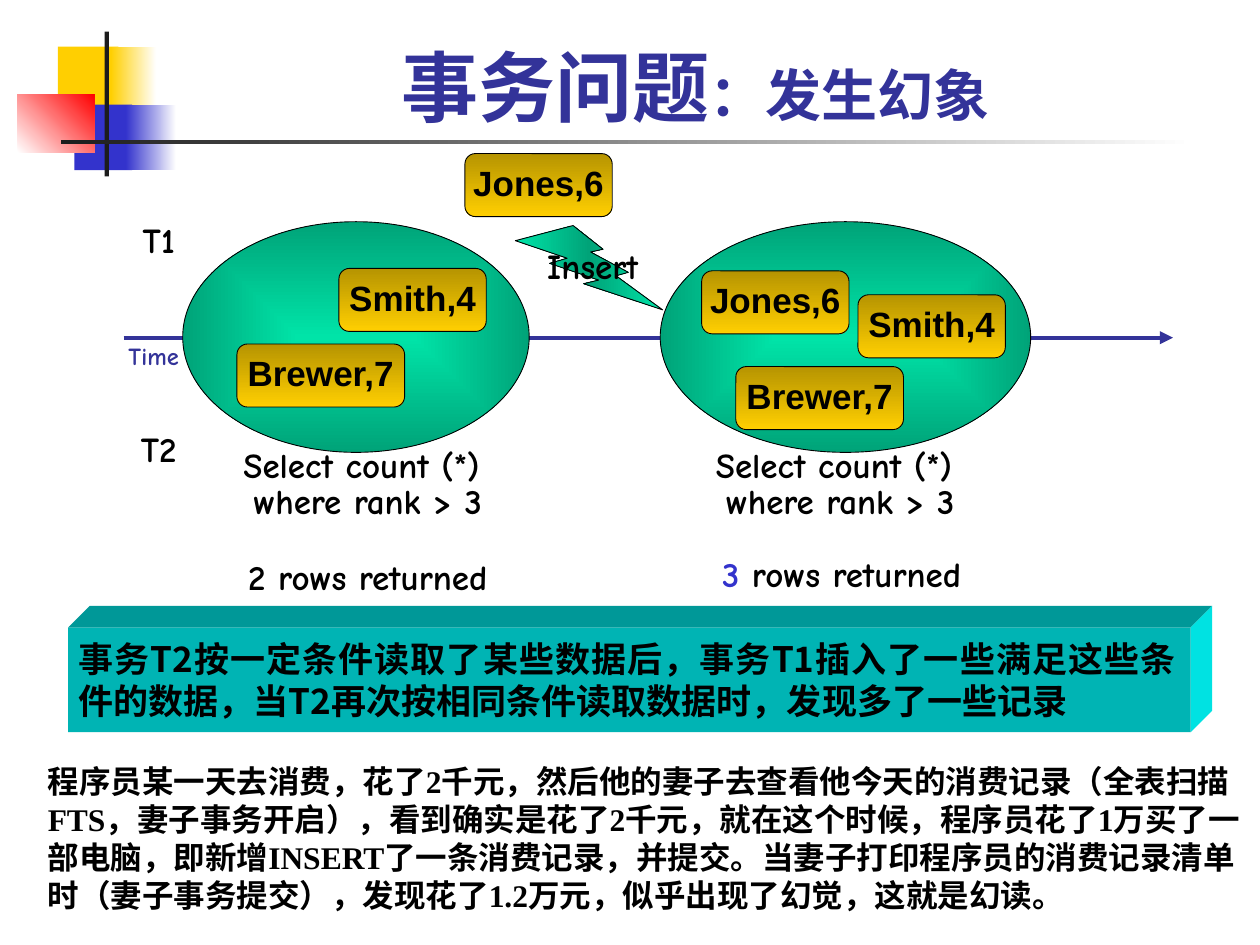
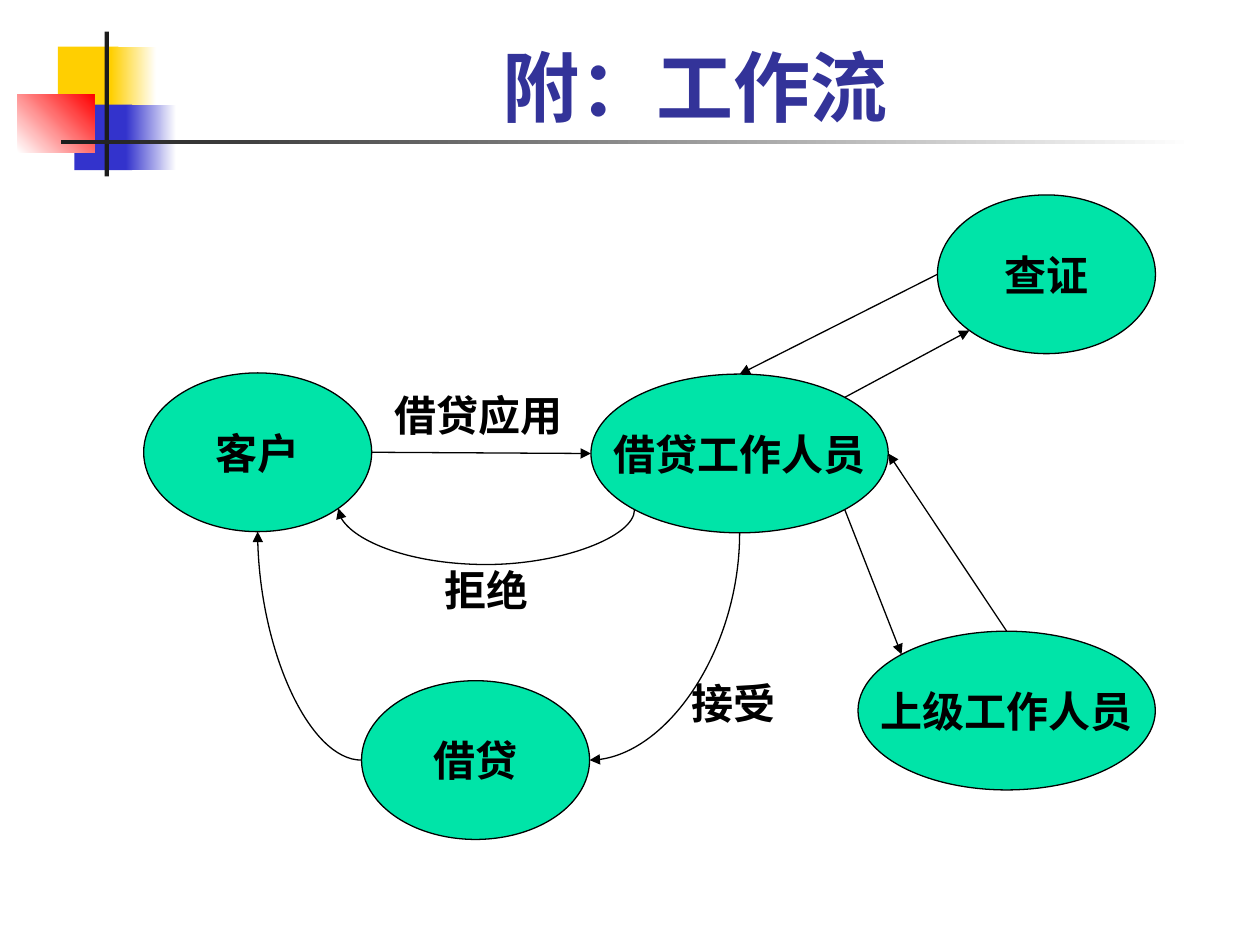
"""Build two slides on transactions: phantom reads and a loan workflow."""
from math import cos, pi, sin

from lxml import etree
from pptx import Presentation
from pptx.dml.color import RGBColor
from pptx.enum.shapes import MSO_CONNECTOR, MSO_SHAPE
from pptx.enum.text import MSO_ANCHOR, PP_ALIGN
from pptx.oxml.ns import qn
from pptx.util import Pt

RECT, OVAL = MSO_SHAPE.RECTANGLE, MSO_SHAPE.OVAL
ROUND, BOLT = MSO_SHAPE.ROUNDED_RECTANGLE, MSO_SHAPE.LIGHTNING_BOLT
LINE, CURVE = MSO_CONNECTOR.STRAIGHT, MSO_CONNECTOR.CURVE
LEFT, MID, FULL = PP_ALIGN.LEFT, PP_ALIGN.CENTER, PP_ALIGN.JUSTIFY
TOP, CENTER, BOTTOM = MSO_ANCHOR.TOP, MSO_ANCHOR.MIDDLE, MSO_ANCHOR.BOTTOM

BLACK = RGBColor(0, 0, 0)
WHITE = RGBColor(255, 255, 255)
INK = RGBColor(0x1C, 0x1C, 0x1C)
NAVY = RGBColor(0x33, 0x33, 0x99)
BLUE = RGBColor(0x33, 0x33, 0xCC)
RED = RGBColor(255, 0, 0)
GOLD = RGBColor(0xFF, 0xCF, 0x01)
BRONZE = RGBColor(0xB6, 0x94, 0x01)
MINT = RGBColor(0x00, 0xE4, 0xA8)
GREEN = RGBColor(0x00, 0xA3, 0x78)
TEAL = RGBColor(0x00, 0xB4, 0xB4)
DEEP = RGBColor(0x00, 0x98, 0x98)
AQUA = RGBColor(0x00, 0xE2, 0xE2)

HEAD, HAND, SANS = "Roboto", "Comic Neue", "Arial"
SERIF, HAN = "Times New Roman", "Noto Sans CJK JP"

DECOR = [
    ((33.1, 26.6, 34.6, 37.4), GOLD),
    ((63.4, 26.6, 25.9, 37.4), ([GOLD, WHITE], 0)),
    ((42.5, 59.8, 33.1, 37.4), BLUE),
    ((72, 59.8, 28.8, 37.4), ([BLUE, WHITE], 0)),
    ((10.1, 54, 43.9, 33.1), ([WHITE, RED], 315)),
    ((59.8, 18, 2.5, 82.8), INK),
    ((34.6, 79.9, 648, 2.5), ([INK, WHITE], 0)),
]
TITLE = (90.7, 12.2, 613.4, 67)

QUERY = [[("Select count (*) ",)], [("where rank > 3",)]]
NOTES = [
    ((70.6, 243.4, 40.3, 28.8), [[("T2",)]], 0.9),
    ((72, 123.8, 37.4, 28.8), [[("T1",)]], 0.9),
    ((64.8, 193, 46.1, 22.3), [[("Time", 14, NAVY)]], 0.9),
    ((125.3, 254.9, 169.9, 88.6), QUERY + [[("2 rows returned",)]], 0.85),
    ((395.3, 253.4, 169.9, 48.2), QUERY, 0.85),
    ((398.2, 316.1, 165.6, 27.4),
     [[("3", 20, BLUE), (" rows returned",)]], 0.85),
]
SETS = [(377.3, 126.7, 211.7, 131.8), (104.4, 126.7, 198, 131.8)]
CARDS = [
    ("Jones,6", 265.7, 87.8), ("Smith,4", 490.3, 168.5),
    ("Brewer,7", 420.5, 209.5), ("Jones,6", 401, 154.8),
    ("Smith,4", 193.7, 153.4), ("Brewer,7", 135.4, 196.6),
]
WIDE = {"Jones,6": 84.2, "Smith,4": 84.2, "Brewer,7": 95.8}
BANNER, DEPTH = (38.9, 358.6, 641.5, 59.8), 12.3
RULE = ("事务T2按一定条件读取了某些数据后，事务T1插入了一些满足这些条件的数据，"
        "当T2再次按相同条件读取数据时，发现多了一些记录")
STORY = ("程序员某一天去消费，花了2千元，然后他的妻子去查看他今天的消费记录"
         "（全表扫描FTS，妻子事务开启），看到确实是花了2千元，就在这个时候，"
         "程序员花了1万买了一部电脑，即新增INSERT了一条消费记录，并提交。"
         "当妻子打印程序员的消费记录清单时（妻子事务提交），发现花了1.2万元，"
         "似乎出现了幻觉，这就是幻读。")

STAFF, BOSS, CHECK, LOAN, CLIENT = "借贷工作人员", "上级工作人员", "查证", "借贷", "客户"
NODES = {
    STAFF: (337.7, 213.8, 169.9, 90.7),
    BOSS: (490.3, 360.7, 169.9, 90.7),
    CHECK: (535.7, 111.4, 124.6, 90.7),
    LOAN: (206.6, 389, 130.3, 90.7),
    CLIENT: (82.1, 213.1, 130.3, 90.7),
}
LINKS = [
    (CLIENT, 6, STAFF, 2), (STAFF, 7, CHECK, 3), (CHECK, 2, STAFF, 0),
    (STAFF, 5, BOSS, 1), (BOSS, 0, STAFF, 6),
]
BENDS = [
    (STAFF, 3, CLIENT, 5, 270, True, "curvedConnector3"),
    (STAFF, 4, LOAN, 6, 90, False, "curvedConnector2"),
    (LOAN, 2, CLIENT, 4, 180, False, "curvedConnector2"),
]
SAG = 31
LABELS = [
    ("接受", (388.1, 383.8, 73.4, 36)),
    ("拒绝", (247, 319, 73.4, 36)),
    ("借贷应用", (218.2, 218.9, 130.3, 36)),
]


def paint(shape, fill, edge=None):
    """Fill a shape with a colour or a (colours, angle) blend; no angle is a path."""
    shape.shadow.inherit = False
    if isinstance(fill, RGBColor):
        shape.fill.solid()
        shape.fill.fore_color.rgb = fill
    else:
        tones, angle = fill
        shape.fill.gradient()
        grad = shape._element.spPr.find(qn("a:gradFill"))
        for kid in list(grad):
            grad.remove(kid)
        stops = etree.SubElement(grad, qn("a:gsLst"))
        for i, tone in enumerate(tones):
            pos = str(100000 * i // (len(tones) - 1))
            stop = etree.SubElement(stops, qn("a:gs"), pos=pos)
            etree.SubElement(stop, qn("a:srgbClr"), val=str(tone))
        if angle is None:
            way = etree.SubElement(grad, qn("a:path"), path="shape")
            half = dict.fromkeys("ltrb", "50000")
            etree.SubElement(way, qn("a:fillToRect"), **half)
        else:
            etree.SubElement(grad, qn("a:lin"), ang=str(angle * 60000), scaled="0")
    if edge:
        shape.line.color.rgb = BLACK
        shape.line.width = Pt(edge)
    else:
        shape.line.fill.background()


def draw(slide, kind, box, fill, edge=None):
    """Add a painted preset shape."""
    shape = slide.shapes.add_shape(kind, *map(Pt, box))
    paint(shape, fill, edge)
    return shape


def write(shape, paras, font, size, align=MID, anchor=CENTER, wrap=False,
          space=None, tone=BLACK):
    """Write bold paragraphs of (text, size, colour) runs."""
    frame = shape.text_frame
    frame.word_wrap = wrap
    frame.vertical_anchor = anchor
    for i, runs in enumerate(paras):
        para = frame.add_paragraph() if i else frame.paragraphs[0]
        para.alignment = align
        if space:
            para.line_spacing = space
        if i == 2:
            para.space_before = Pt(23)
        for text, *look in runs:
            run = para.add_run()
            run.text = text
            own, hue = look or (size, tone)
            run.font.size = Pt(own)
            run.font.bold = True
            run.font.color.rgb = hue
            run.font.name = font
            etree.SubElement(run._r.rPr, qn("a:ea"), typeface=HAN)


def label(slide, box, paras, font, size, **look):
    """Add a text box."""
    write(slide.shapes.add_textbox(*map(Pt, box)), paras, font, size, **look)


def arrow(slide, kind, ends, tone, width):
    """Add a connector with an arrowhead at its end."""
    link = slide.shapes.add_connector(kind, *map(Pt, ends))
    link.line.color.rgb = tone
    link.line.width = Pt(width)
    props = link._element.spPr
    etree.SubElement(props.find(qn("a:ln")), qn("a:tailEnd"), type="triangle")
    etree.SubElement(props, qn("a:effectLst"))
    return link


def start(deck, runs):
    """Add a slide with the shared decoration and title."""
    slide = deck.slides.add_slide(deck.slide_layouts[6])
    for box, fill in DECOR:
        draw(slide, RECT, box, fill)
    label(slide, TITLE, [runs], HEAD, 44, anchor=BOTTOM, wrap=True, tone=NAVY)
    return slide


def face(slide, points, tone):
    """Add one side of the raised banner."""
    pts = [(Pt(x), Pt(y)) for x, y in points]
    build = slide.shapes.build_freeform(*pts[0])
    build.add_line_segments(pts[1:])
    paint(build.convert_to_shape(), tone)


def phantom(deck):
    """Build the phantom read slide."""
    slide = start(deck, [("事务问题",), ("：发生幻象", 32, NAVY)])
    arrow(slide, LINE, (70.6, 193, 670.3, 193), NAVY, 2.5)
    for box, paras, space in NOTES:
        label(slide, box, paras, HAND, 20, space=space)
    bolt = draw(slide, BOLT, (294.5, 128.9, 84.2, 48.2), ([MINT, GREEN, MINT], 0), 0.5)
    write(bolt, [[("Insert",)]], HAND, 20, space=0.9)
    for box in SETS:
        draw(slide, OVAL, box, ([MINT, GREEN], None), 0.5)
    for name, x, y in CARDS:
        card = draw(slide, ROUND, (x, y, WIDE[name], 36), ([BRONZE, GOLD], 90), 0.5)
        write(card, [[(name,)]], SANS, 20, space=0.9)

    x, y, w, h = BANNER
    right, low, far, high = x + w, y + h, x + w + DEPTH, y - DEPTH
    face(slide, [(x, y), (x + DEPTH, high), (far, high), (right, y)], DEEP)
    face(slide, [(right, y), (far, high), (far, low - DEPTH), (right, low)], AQUA)
    front = draw(slide, RECT, BANNER, TEAL)
    frame = front.text_frame
    frame.margin_left = frame.margin_top = frame.margin_bottom = Pt(5.8)
    frame.margin_right = Pt(8.6)
    write(front, [[(RULE,)]], HAN, 20, align=FULL, wrap=True)
    label(slide, (20.2, 432, 699.8, 94.3), [[(STORY,)]], SERIF, 18,
          align=LEFT, anchor=TOP, wrap=True)


def site(name, spot):
    """Find one of eight points on a node, counted from the top leftwards."""
    x, y, w, h = NODES[name]
    turn = spot * pi / 4
    return x + w / 2 * (1 - sin(turn)), y + h / 2 * (1 - cos(turn))


def glue(link, tips):
    """Tie a connector to the sites at both its ends."""
    hold = link._element.find(".//" + qn("p:cNvCxnSpPr"))
    for tag, (shape, spot) in zip(("a:stCxn", "a:endCxn"), tips):
        etree.SubElement(hold, qn(tag), id=str(shape.shape_id), idx=str(spot))


def bend(slide, tail, tip, turn, flip, form):
    """Add a curved arrow, turned about the middle of its ends."""
    (ax, ay), (bx, by) = tail, tip
    w, h = abs(bx - ax), abs(by - ay)
    if turn % 180:
        w, h = h, w
    x, y = (ax + bx - w) / 2, (ay + by - h) / 2
    ends = (x, y + h, x + w, y) if flip else (x, y, x + w, y + h)
    link = arrow(slide, CURVE, ends, BLACK, 0.75)
    props = link._element.spPr
    props.find(qn("a:xfrm")).set("rot", str(turn * 60000))
    shape = props.find(qn("a:prstGeom"))
    shape.set("prst", form)
    if flip:
        ratio = round(-SAG / w * 100000)
        etree.SubElement(shape.find(qn("a:avLst")), qn("a:gd"),
                         name="adj1", fmla=f"val {ratio}")
    return link


def flow(deck):
    """Build the loan workflow slide."""
    slide = start(deck, [("附：工作流",)])
    nodes = {}
    for name, box in NODES.items():
        nodes[name] = draw(slide, OVAL, box, MINT, 0.75)
        write(nodes[name], [[(name,)]], SERIF, 24)
    for a, i, b, j, *form in LINKS + BENDS:
        tail, tip = site(a, i), site(b, j)
        if form:
            link = bend(slide, tail, tip, *form)
        else:
            link = arrow(slide, LINE, (*tail, *tip), BLACK, 0.75)
        glue(link, ((nodes[a], i), (nodes[b], j)))
    for text, box in LABELS:
        label(slide, box, [[(text,)]], SERIF, 24, align=LEFT, anchor=TOP, wrap=True)


def main():
    """Build and save the deck."""
    deck = Presentation()
    deck.slide_width, deck.slide_height = Pt(720), Pt(540)
    phantom(deck)
    flow(deck)
    deck.save("out.pptx")


if __name__ == "__main__":
    main()
